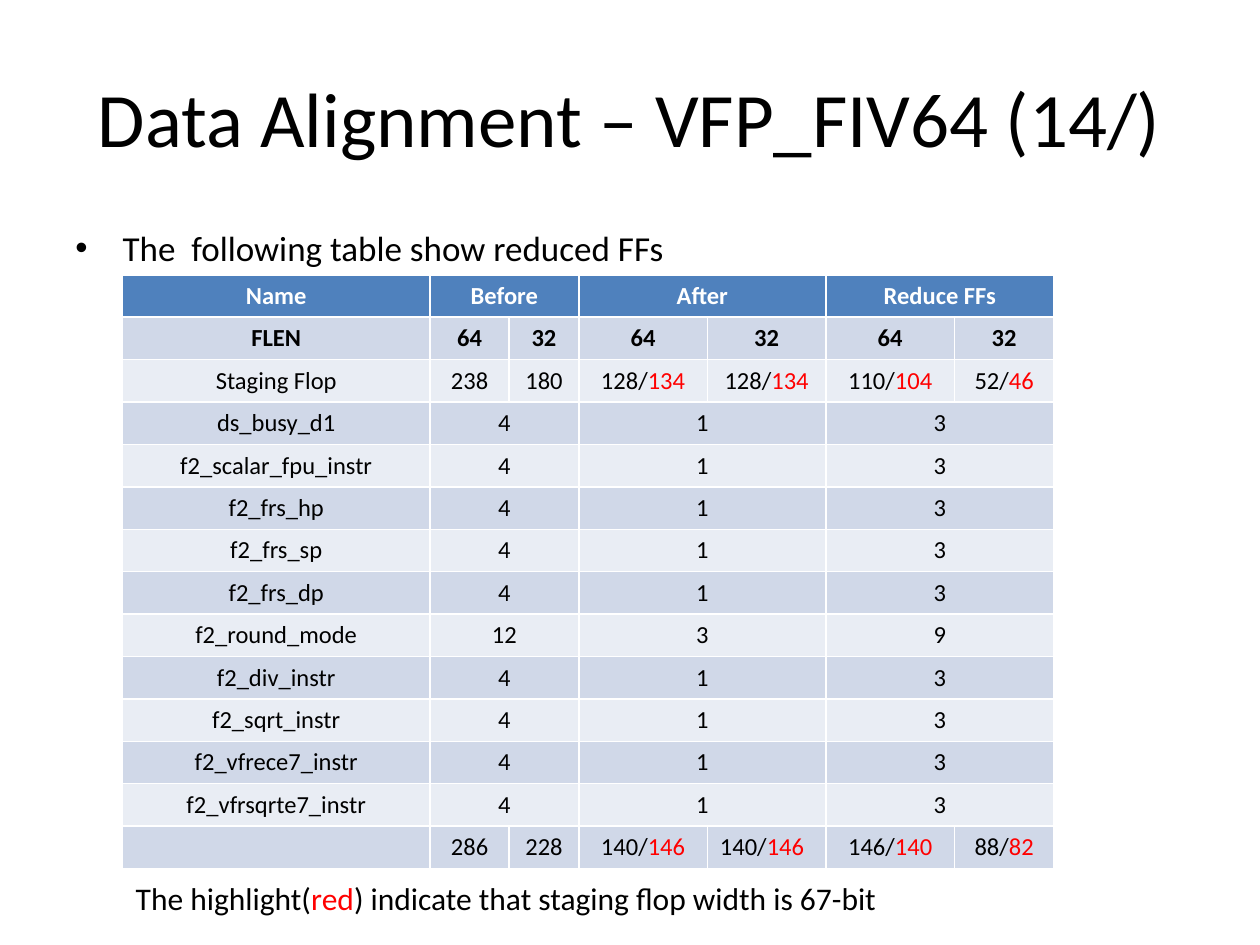
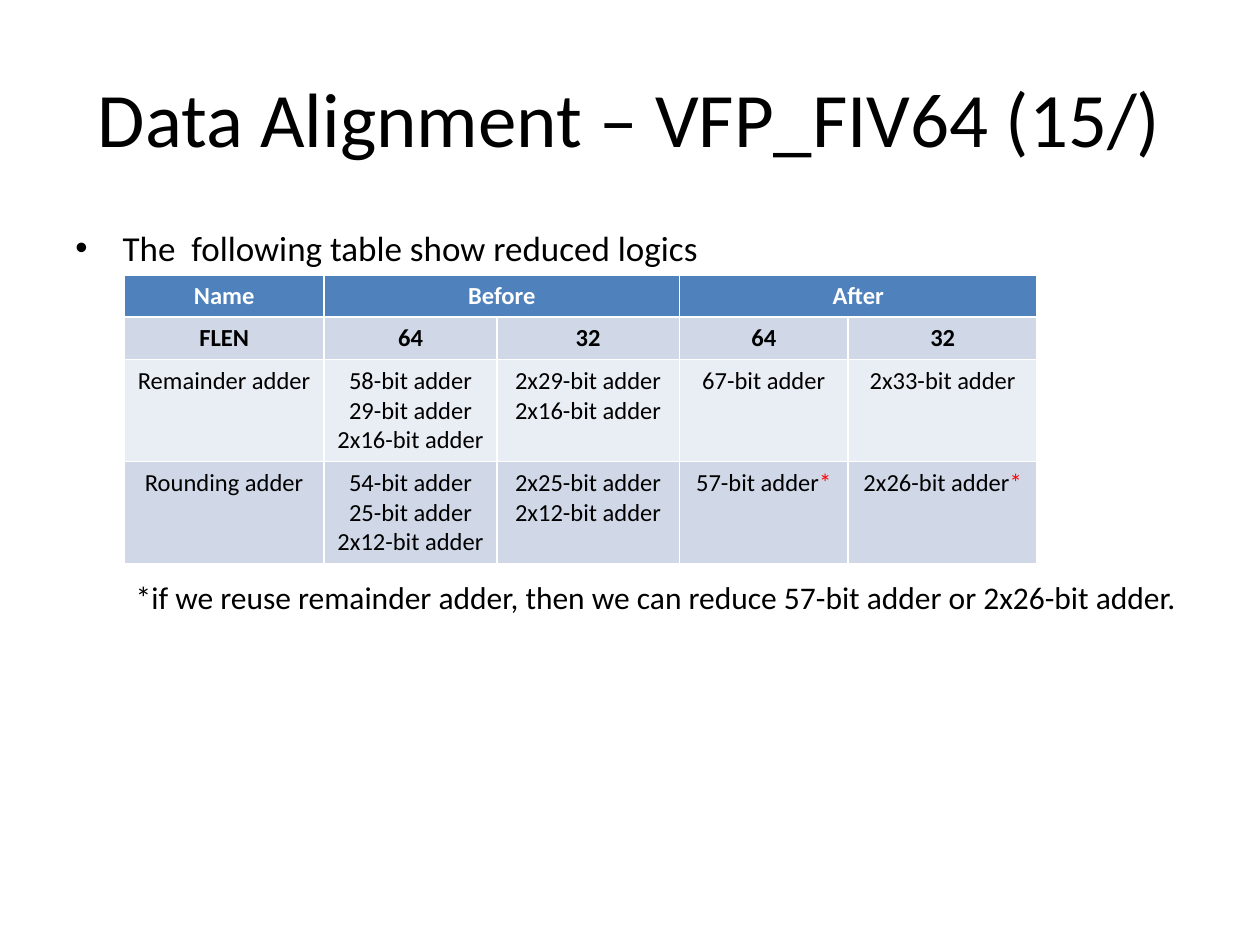
from pptx import Presentation
from pptx.dml.color import RGBColor
from pptx.enum.text import MSO_ANCHOR as Anchor, PP_ALIGN as Align
from pptx.oxml.ns import qn
from pptx.util import Pt
from lxml.etree import SubElement

BLACK = RGBColor(0, 0, 0)
WHITE = RGBColor(255, 255, 255)
RED = RGBColor(255, 0, 0)
HEADER_BLUE = RGBColor(0x4F, 0x81, 0xBD)
BANDS = RGBColor(0xD0, 0xD8, 0xE8), RGBColor(0xE9, 0xED, 0xF4)
FONT = "Calibri"
TABLE_TOP = 157
LINE_HEIGHT = 17.05
CELL_PADDING = 7.2

# Text between bars is highlighted in red; a row with one value per group spans both columns.
SLIDES = [
    {
        "title": "Data Alignment – VFP_FIV64 (14/)",
        "bullet": "The  following table show reduced FFs",
        "left": 70,
        "widths": [175.75, 45.25, 39.75, 73.5, 67.75, 73.5, 56.75],
        "rows": [
            ["Name", "Before", "After", "Reduce FFs"],
            ["FLEN", "64", "32", "64", "32", "64", "32"],
            ["Staging Flop", "238", "180", "128/|134", "128/|134", "110/|104", "52/|46"],
            ["ds_busy_d1", "4", "1", "3"],
            ["f2_scalar_fpu_instr", "4", "1", "3"],
            ["f2_frs_hp", "4", "1", "3"],
            ["f2_frs_sp", "4", "1", "3"],
            ["f2_frs_dp", "4", "1", "3"],
            ["f2_round_mode", "12", "3", "9"],
            ["f2_div_instr", "4", "1", "3"],
            ["f2_sqrt_instr", "4", "1", "3"],
            ["f2_vfrece7_instr", "4", "1", "3"],
            ["f2_vfrsqrte7_instr", "4", "1", "3"],
            ["", "286", "228", "140/|146", "140/|146", "146/|140", "88/|82"],
        ],
        "left_aligned": (13, 4),
        "note": "The highlight(|red|) indicate that staging flop width is 67-bit",
        "note_box": (70.5, 499, 443, 29),
    },
    {
        "title": "Data Alignment – VFP_FIV64 (15/)",
        "bullet": "The  following table show reduced logics",
        "left": 71,
        "widths": [114.25, 98.75, 104.25, 96.5, 108],
        "rows": [
            ["Name", "Before", "After"],
            ["FLEN", "64", "32", "64", "32"],
            ["Remainder adder", "58-bit adder\n29-bit adder\n2x16-bit adder",
             "2x29-bit adder\n2x16-bit adder", "67-bit adder", "2x33-bit adder"],
            ["Rounding adder", "54-bit adder\n25-bit adder\n2x12-bit adder",
             "2x25-bit adder\n2x12-bit adder", "57-bit adder|*", "2x26-bit adder|*"],
        ],
        "left_aligned": None,
        "note": "*if we reuse remainder adder, then we can reduce 57-bit adder or 2x26-bit adder.",
        "note_box": (70.5, 327, 621, 29),
    },
]


def write(frame, text, size=14, color=BLACK, bold=False, align=Align.LEFT, bullet=False):
    for index, line in enumerate(text.split("\n")):
        para = frame.add_paragraph() if index else frame.paragraphs[0]
        para.alignment = align
        if bullet:
            props = para._p.get_or_add_pPr()
            props.set("marL", str(Pt(27)))
            props.set("indent", str(Pt(-27)))
            SubElement(props, qn("a:buFont"), typeface="Arial")
            SubElement(props, qn("a:buChar"), char="•")
        para.font.size = Pt(size)
        for part, words in enumerate(line.split("|")):
            if not words:
                continue
            span = para.add_run()
            span.text = words
            span.font.name = FONT
            span.font.size = Pt(size)
            span.font.bold = bold
            span.font.color.rgb = RED if part % 2 else color


def add_text(page, text, place, wrap=True, **style):
    box = page.shapes.add_textbox(*map(Pt, place))
    box.text_frame.word_wrap = wrap
    write(box.text_frame, text, **style)


def add_grid(page, left, widths, rows, left_aligned):
    heights = [LINE_HEIGHT * (1 + max(text.count("\n") for text in row)) + CELL_PADDING
               for row in rows]
    grid = page.shapes.add_table(len(rows), len(widths), Pt(left), Pt(TABLE_TOP),
                                 Pt(sum(widths)), Pt(sum(heights))).table
    for column, width in zip(grid.columns, widths):
        column.width = Pt(width)
    for r, row in enumerate(rows):
        grid.rows[r].height = Pt(heights[r])
        fill = BANDS[(r - 1) % 2] if r else HEADER_BLUE
        for c in range(len(widths)):
            cell = grid.cell(r, c)
            cell.fill.solid()
            cell.fill.fore_color.rgb = fill
        paired = len(row) < len(widths)
        for position, text in enumerate(row):
            c = 2 * position - 1 if paired and position else position
            cell = grid.cell(r, c)
            if paired and position:
                cell.merge(grid.cell(r, c + 1))
            write(cell.text_frame, text, color=BLACK if r else WHITE, bold=r < 2,
                  align=Align.LEFT if (r, c) == left_aligned else Align.CENTER)


def build_page(deck, content):
    page = deck.slides.add_slide(deck.slide_layouts[5])
    title = page.shapes.title
    title.left, title.top, title.width, title.height = map(Pt, (36, 21.6, 648, 90))
    title.text_frame.vertical_anchor = Anchor.MIDDLE
    write(title.text_frame, content["title"], size=44, align=Align.CENTER)
    add_text(page, content["bullet"], (36, 126, 648, 356.4), size=20, bullet=True)
    add_grid(page, content["left"], content["widths"], content["rows"],
             content["left_aligned"])
    add_text(page, content["note"], content["note_box"], wrap=False, size=18)


def main():
    deck = Presentation()
    deck.slide_width, deck.slide_height = Pt(720), Pt(540)
    for content in SLIDES:
        build_page(deck, content)
    deck.save("out.pptx")


if __name__ == "__main__":
    main()
